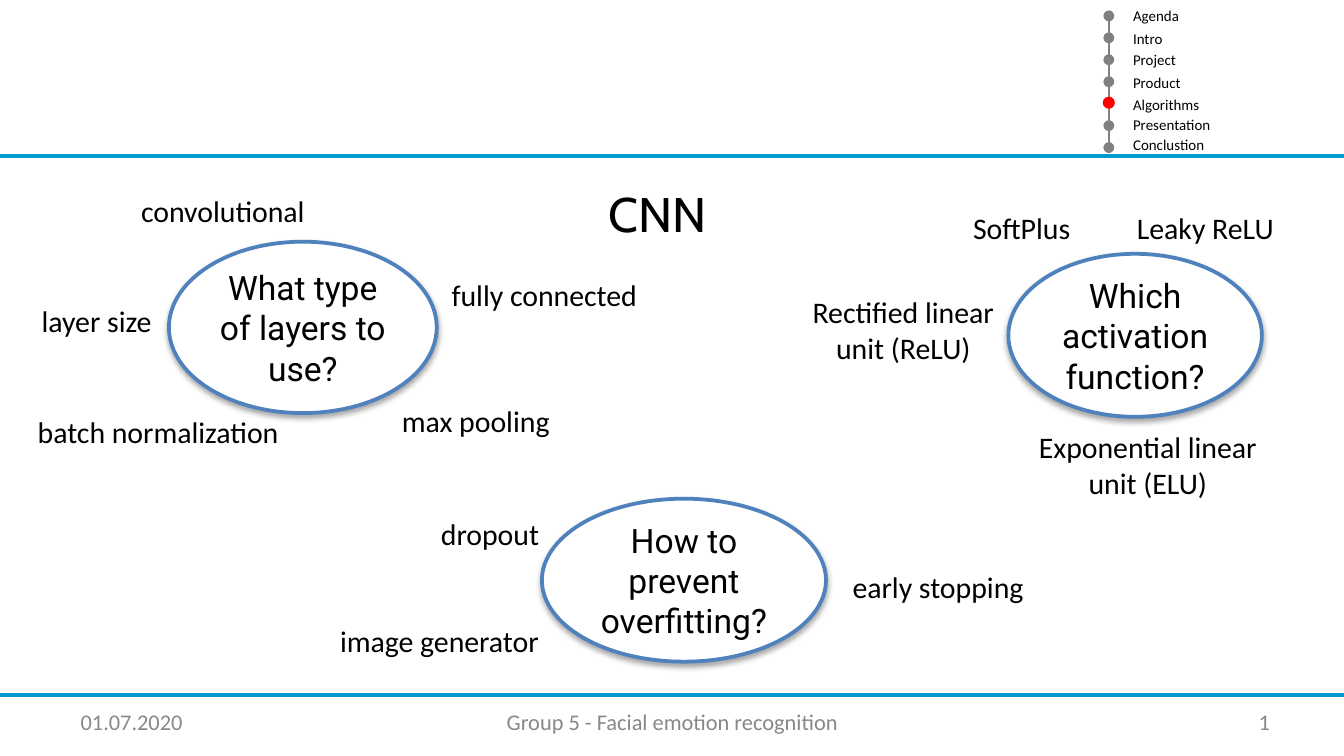
"""Build a slide of open questions about CNN design."""
from lxml import etree
from pptx import Presentation
from pptx.dml.color import RGBColor
from pptx.enum.shapes import MSO_CONNECTOR, MSO_SHAPE
from pptx.enum.text import MSO_ANCHOR, MSO_AUTO_SIZE, PP_ALIGN
from pptx.oxml import parse_xml
from pptx.oxml.ns import qn
from pptx.util import Pt

STRAIGHT = MSO_CONNECTOR.STRAIGHT
ELLIPSE = MSO_SHAPE.OVAL
TOP, MIDDLE = MSO_ANCHOR.TOP, MSO_ANCHOR.MIDDLE
LEFT, CENTER, RIGHT = PP_ALIGN.LEFT, PP_ALIGN.CENTER, PP_ALIGN.RIGHT
GROW, FIXED = MSO_AUTO_SIZE.SHAPE_TO_FIT_TEXT, MSO_AUTO_SIZE.NONE

BLACK, WHITE, GRAY, FOOTER_GRAY = "000000", "FFFFFF", "808080", "888888"
RULE_BLUE, OVAL_BLUE, RED = "009CD1", "4F81BD", "FF0000"
SHADOW = (
    '<a:outerShdw xmlns:a="http://schemas.openxmlformats.org/drawingml/2006/main" '
    'blurRad="38100" dist="22860" dir="5400000" rotWithShape="0">'
    '<a:srgbClr val="000000"><a:alpha val="35000"/></a:srgbClr></a:outerShdw>'
)

SECTIONS = [
    ("Agenda", 0), ("Intro", 12.2), ("Project", 23.8), ("Product", 36),
    ("Algorithms", 47.5), ("Presentation", 58.3), ("Conclustion", 69.1),
]
CURRENT_SECTION = "Algorithms"
QUESTIONS = [
    ("What type of layers to use?", (90.5, 129.5, 143.5, 91.8)),
    ("Which activation function?", (540.2, 136, 135.8, 87.3)),
    ("How to prevent overfitting?", (290.3, 267.2, 152.2, 87.3)),
]
SHORT_ANSWERS = [
    ("convolutional", 72, 99.7, 96.5),
    ("fully connected", 238.3, 144.7, 108),
    ("max pooling", 211.7, 212.4, 87.8),
    ("batch normalization", 16.6, 218.2, 137.5),
    ("layer size", 18.7, 158.4, 67),
    ("SoftPlus", 517.7, 108.7, 60.5),
    ("Leaky ReLU", 605.5, 108.7, 81.4),
    ("dropout", 232.6, 272.9, 61.2),
    ("image generator", 178.6, 329.8, 115.2),
]
WRAPPED_ANSWERS = [
    ("Rectified linear unit (ReLU)", (419.8, 154, 128.2, 45.4)),
    ("Exponential linear unit (ELU)", (542.2, 226.1, 145.4, 45.4)),
    ("early stopping", (403.9, 301, 197.3, 26)),
]
FOOTERS = [
    ("Group 5 - Facial emotion recognition", (249.8, 375.8, 221, 21), CENTER, True),
    ("01.07.2020", (39.6, 375.8, 160.6, 21), LEFT, True),
    ("1", (669.6, 375.8, 14.4, 21), RIGHT, False),
]


def color(hex_string):
    return RGBColor.from_string(hex_string)


class SlideBuilder:
    font = "Calibri"
    inset = 3.6

    def __init__(self, slide):
        self.slide = slide

    def set_text(self, shape, text, size, font=None, fill=BLACK, align=LEFT,
                 anchor=TOP, wrap=True, auto_size=FIXED):
        frame = shape.text_frame
        frame.margin_left = frame.margin_right = Pt(self.inset)
        frame.margin_top = frame.margin_bottom = Pt(self.inset)
        frame.word_wrap = wrap
        frame.auto_size = auto_size
        frame.vertical_anchor = anchor
        paragraph = frame.paragraphs[0]
        paragraph.alignment = align
        run = paragraph.add_run()
        run.text = text
        run.font.name = font or self.font
        run.font.size = Pt(size)
        run.font.color.rgb = color(fill)
        return paragraph

    def title(self, text, box):
        shape = self.slide.shapes.title
        shape.left, shape.top, shape.width, shape.height = map(Pt, box)
        paragraph = self.set_text(shape, text, 26, "Cabin", align=CENTER)
        paragraph.space_before = Pt(6)

    def text(self, text, box, size=16, **style):
        shape = self.slide.shapes.add_textbox(*map(Pt, box))
        self.set_text(shape, text, size, auto_size=GROW, **style)

    def line(self, start, end, stroke, width):
        connector = self.slide.shapes.add_connector(STRAIGHT, *map(Pt, start + end))
        connector.line.color.rgb = color(stroke)
        connector.line.width = Pt(width)
        etree.SubElement(connector.element.spPr, qn("a:effectLst"))

    def ellipse(self, box, fill):
        shape = self.slide.shapes.add_shape(ELLIPSE, *map(Pt, box))
        shape.shadow.inherit = False
        shape.fill.solid()
        shape.fill.fore_color.rgb = color(fill)
        shape.line.fill.background()
        return shape

    def dot(self, center_x, center_y, diameter, fill):
        radius = diameter / 2
        self.ellipse((center_x - radius, center_y - radius, diameter, diameter), fill)

    def question(self, text, box):
        shape = self.ellipse(box, WHITE)
        shape.line.color.rgb = color(OVAL_BLUE)
        shape.line.width = Pt(2)
        shape.element.spPr.find(qn("a:effectLst")).append(parse_xml(SHADOW))
        self.set_text(shape, text, 18, "Roboto", align=CENTER, anchor=MIDDLE)

    def progress(self):
        axis, first, step = 594, 8.5, 11.76
        self.line((axis, first), (axis, first + 6 * step), GRAY, 1)
        for index, (name, top) in enumerate(SECTIONS):
            current = name == CURRENT_SECTION
            self.dot(axis, first + index * step - current * 0.5,
                     6.5 if current else 5.8, RED if current else GRAY)
            self.text(name, (603.4, top, 86.4, 17.3), 8)


def main():
    presentation = Presentation()
    presentation.slide_width, presentation.slide_height = Pt(720), Pt(405)
    slide = presentation.slides.add_slide(presentation.slide_layouts[5])
    builder = SlideBuilder(slide)
    builder.progress()
    for y in (83.5, 372.3):
        builder.line((0, y), (720, y), RULE_BLUE, 2)
    builder.title("CNN", (16.6, 95, 671.8, 39.6))
    for text, box in QUESTIONS:
        builder.question(text, box)
    for text, left, top, width in SHORT_ANSWERS:
        builder.text(text, (left, top, width, 26), wrap=False)
    for text, box in WRAPPED_ANSWERS:
        builder.text(text, box, align=CENTER)
    for text, box, align, wrap in FOOTERS:
        builder.text(text, box, 12, fill=FOOTER_GRAY, align=align, anchor=MIDDLE, wrap=wrap)
    presentation.save("out.pptx")


if __name__ == "__main__":
    main()
